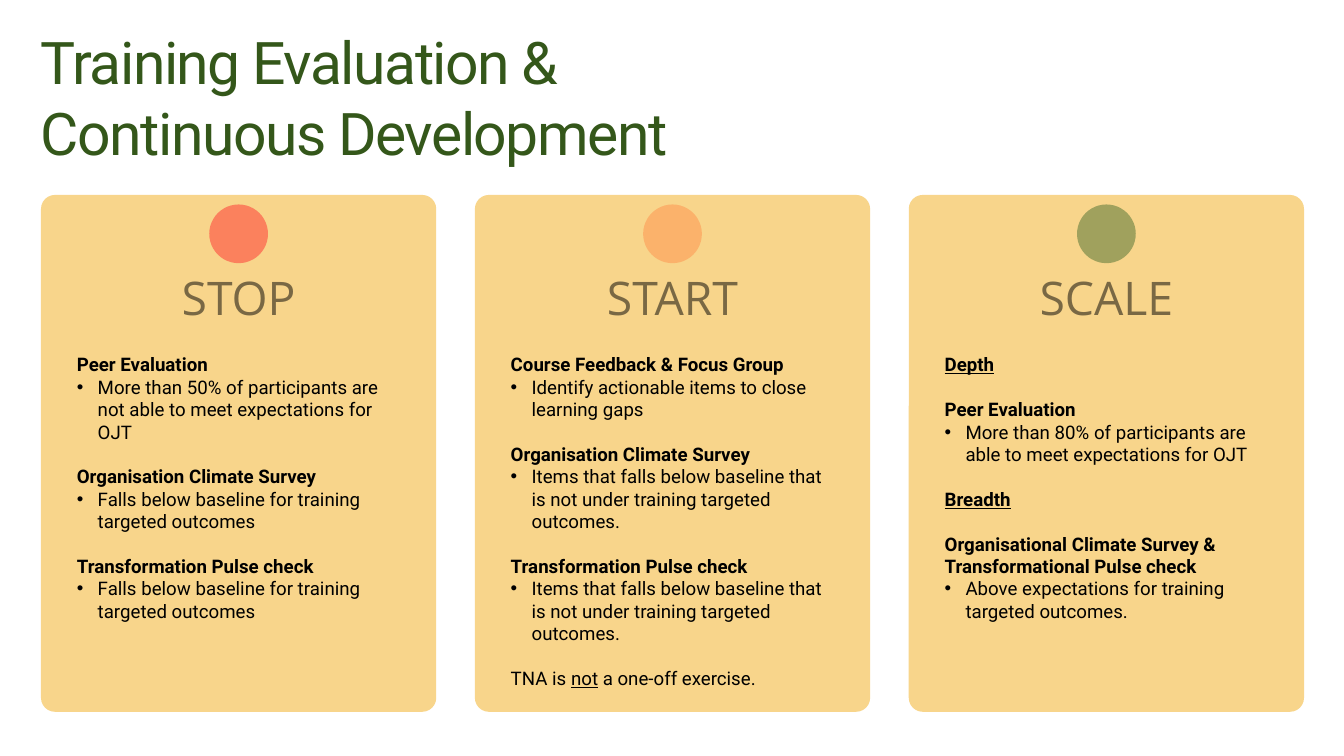
from lxml import etree
from pptx import Presentation, util as u
from pptx.dml.color import RGBColor
from pptx.enum import shapes, text
from pptx.oxml.ns import qn

CARD, TITLE, INK = "F2AE1C", "34571A", "000000"
VEIL = 51  # opacity in percent of cards, lights and headings

# Run formats of the body text
FORMATS = {
    "topic": {"bold": True},
    "section": {"bold": True, "underline": True},
    "point": {"bold": False},
    "plain": {"bold": False},
    "stress": {"bold": False, "underline": True},
}

# Heading, light colour, and paragraphs as lists of (format, text) runs
COLUMNS = [
    ("STOP", "FF3131", [
        [("topic", "Peer Evaluation")],
        [("point", "More than 50% of participants are not able to meet expectations for OJT")],
        [("topic", "Organisation Climate Survey")],
        [("point", "Falls below baseline for training targeted outcomes")],
        [("topic", "Transformation Pulse check")],
        [("point", "Falls below baseline for training targeted outcomes")],
    ]),
    ("START", "FF914D", [
        [("topic", "Course Feedback & Focus Group")],
        [("point", "Identify actionable items to close learning gaps")],
        [("topic", "Organisation Climate Survey")],
        [("point", "Items that falls below baseline that is not under training targeted outcomes.")],
        [("topic", "Transformation Pulse check")],
        [("point", "Items that falls below baseline that is not under training targeted outcomes.")],
        [("plain", "TNA is "), ("stress", "not"), ("plain", " a one-off exercise.")],
    ]),
    ("SCALE", "4C7031", [
        [("section", "Depth")],
        [("topic", "Peer Evaluation")],
        [("point", "More than 80% of participants are able to meet expectations for OJT")],
        [("section", "Breadth")],
        [("topic", "Organisational Climate Survey & Transformational Pulse check")],
        [("point", "Above expectations for training targeted outcomes.")],
    ]),
]


def paint(fill, colour, element, opacity=100):
    """Give a fill a solid colour, with transparency if it is not opaque."""
    fill.solid()
    fill.fore_color.rgb = RGBColor.from_string(colour)
    if opacity < 100:
        srgb = next(element.iter(qn("a:srgbClr")))
        etree.SubElement(srgb, qn("a:alpha")).set("val", str(opacity * 1000))


def apply(target, formats):
    for name, value in formats.items():
        setattr(target, name, value)


class Board:
    title_font = {"name": "Roboto", "size": u.Pt(63)}
    heading_font = {"name": "Open Sans", "size": u.Pt(49.6)}
    body_font = {"name": "Roboto", "size": u.Pt(20)}
    indent = u.Cm(0.79)
    gap = u.Pt(24)

    def __init__(self, slide):
        self.slide = slide

    def shape(self, kind, left, top, width, height, colour):
        shape = self.slide.shapes.add_shape(
            kind, u.Cm(left), u.Cm(top), u.Cm(width), u.Cm(height))
        shape.shadow.inherit = False
        shape.line.fill.background()
        paint(shape.fill, colour, shape._element.spPr, VEIL)
        return shape

    def card(self, left, top, width, height, radius):
        card = self.shape(shapes.MSO_SHAPE.ROUNDED_RECTANGLE,
                          left, top, width, height, CARD)
        card.adjustments[0] = radius / width

    def light(self, left, top, size, colour):
        self.shape(shapes.MSO_SHAPE.OVAL, left, top, size, size, colour)

    def frame(self, left, top, width, height, inset=True):
        frame = self.slide.shapes.add_textbox(
            u.Cm(left), u.Cm(top), u.Cm(width), u.Cm(height)).text_frame
        frame.word_wrap = True
        if not inset:
            apply(frame, dict.fromkeys(
                ("margin_left", "margin_top", "margin_right", "margin_bottom"), 0))
        return frame

    def run(self, paragraph, words, formats, colour=INK, opacity=100):
        run = paragraph.add_run()
        run.text = words
        apply(run.font, formats)
        paint(run.font.fill, colour, run._r, opacity)
        return run

    def paragraphs(self, frame, items):
        """Pair each item with its paragraph, using the first one that exists."""
        for number, item in enumerate(items):
            yield (frame.add_paragraph() if number else frame.paragraphs[0]), item

    def title(self, lines, left, top, width, height):
        frame = self.frame(left, top, width, height, inset=False)
        for paragraph, line in self.paragraphs(frame, lines):
            paragraph.line_spacing = u.Pt(75.6)
            run = self.run(paragraph, line, self.title_font, TITLE)
            run._r.get_or_add_rPr().set("spc", "-160")

    def heading(self, words, left, top, width, height):
        paragraph = self.frame(left, top, width, height, inset=False).paragraphs[0]
        apply(paragraph, {"alignment": text.PP_ALIGN.CENTER,
                          "line_spacing": u.Pt(69.4)})
        self.run(paragraph, words, self.heading_font, opacity=VEIL)

    def bullet(self, paragraph):
        props = paragraph._p.get_or_add_pPr()
        props.set("marL", str(self.indent))
        props.set("indent", str(-self.indent))
        etree.SubElement(props, qn("a:buFont")).set("typeface", "Arial")
        etree.SubElement(props, qn("a:buChar")).set("char", "•")

    def body(self, content, left, top, width, height):
        frame = self.frame(left, top, width, height)
        for paragraph, runs in self.paragraphs(frame, content):
            if runs[0][0] == "point":
                self.bullet(paragraph)
            elif runs is not content[0]:
                paragraph.space_before = self.gap
            for kind, words in runs:
                self.run(paragraph, words, {**self.body_font, **FORMATS[kind]})


def main():
    deck = Presentation()
    deck.slide_width, deck.slide_height = u.Cm(50.8), u.Cm(28.58)
    board = Board(deck.slides.add_slide(deck.slide_layouts[6]))

    # Title
    margin = 1.55
    board.title(["Training Evaluation &", "Continuous Development"],
                margin, 0.99, 32.36, 5.31)

    # Three cards with light, heading and criteria
    card_width, pitch = 14.94, 16.4
    text_width, light_size = 12.73, 2.22
    for number, (heading, colour, content) in enumerate(COLUMNS):
        left = margin + number * pitch
        text_left = left + (card_width - text_width) / 2
        board.card(left, 7.37, card_width, 19.54, radius=0.53)
        board.light(left + (card_width - light_size) / 2, 7.73, light_size, colour)
        board.heading(heading, text_left, 9.83, text_width, 2.39)
        board.body(content, text_left, 13.23, text_width, 13.08)

    deck.save("out.pptx")


if __name__ == "__main__":
    main()
